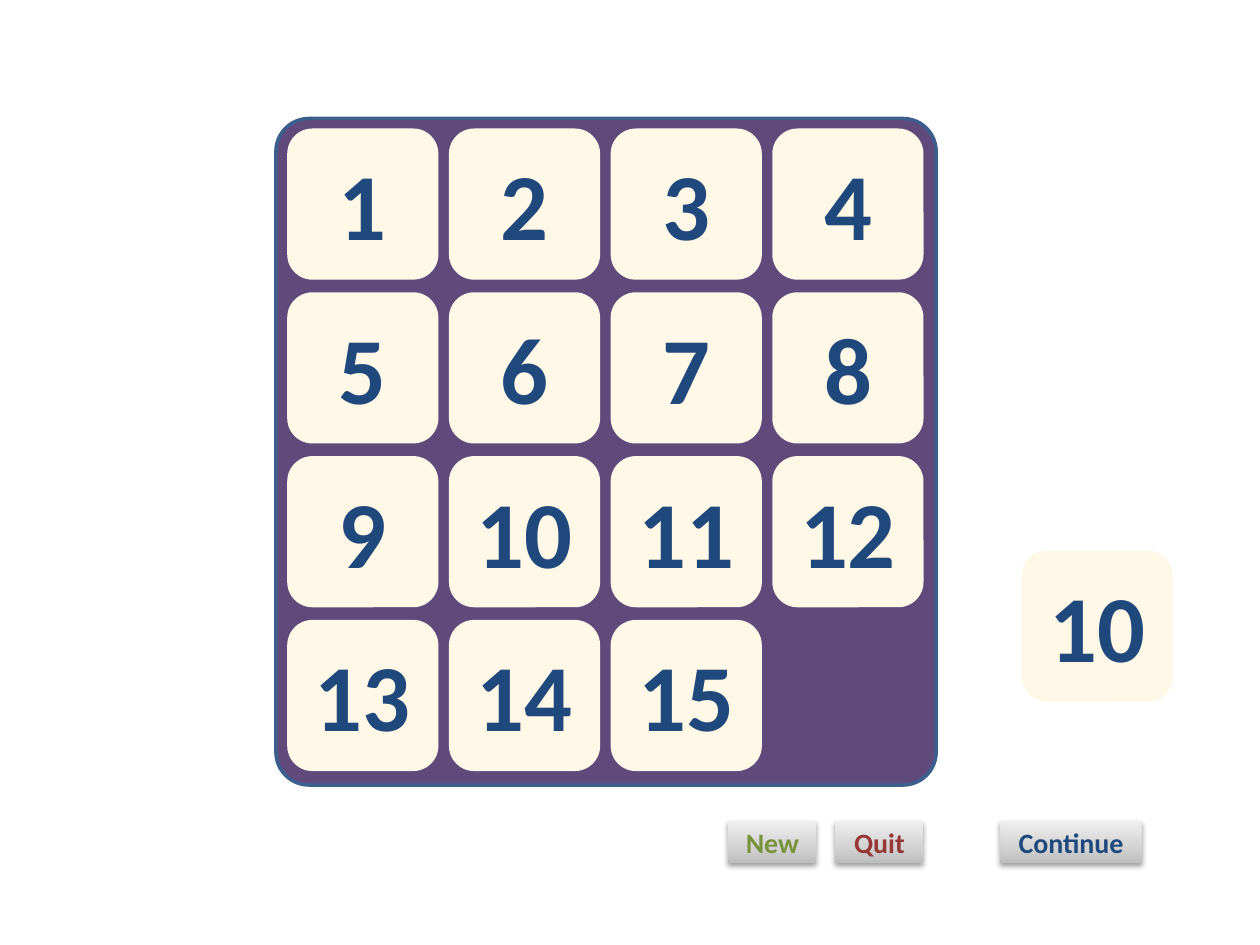
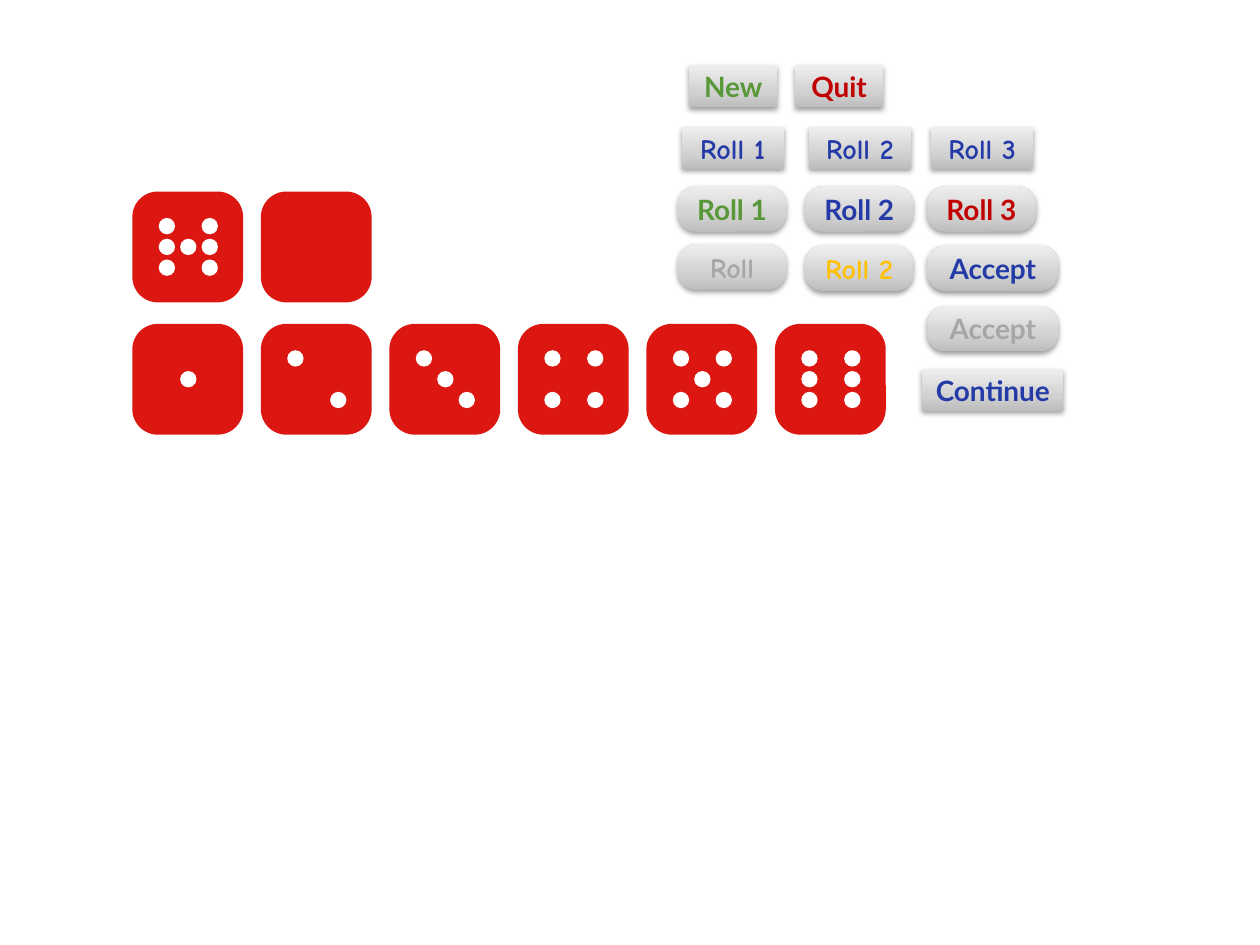
from dataclasses import dataclass

from lxml import etree
from pptx import Presentation
from pptx.dml.color import RGBColor
from pptx.enum.shapes import MSO_SHAPE as Preset
from pptx.enum.text import MSO_ANCHOR as Anchor
from pptx.enum.text import MSO_AUTO_SIZE as AutoSize
from pptx.enum.text import PP_ALIGN as Align
from pptx.oxml import parse_xml
from pptx.oxml.ns import nsdecls, qn
from pptx.util import Inches, Pt

BOARD, BOARD_EDGE = "604A7B", "3A5F8C"
CREAM, NAVY = "FFF8E7", "1F497D"
OLIVE, BRICK = "77933C", "953735"
DIE_RED, WHITE = "DC1712", "FFFFFF"
GREEN, BLUE, RED, AMBER, GRAY = "589838", "243AA6", "C00000", "FFC000", "A6A6A6"
BUTTON_STOPS = ((0, "BDBDBD"), (35, "D1D1D1"), (100, "EEEEEE"))

TILE_SIZE = 1.2
TILE_LEFT, TILE_TOP = 2.28, 1.02
TILE_COLUMN_PITCH, TILE_ROW_PITCH = 3.85 / 3, 1.3

DIE_SIZE, DIE_PITCH, DIE_LEFT = 0.88, 1.02, 1.05
PIP_SIZE, PIP_OFFSET = 0.13, 0.21
PIP_COLUMN_PITCH, PIP_ROW_PITCH = 0.17, 0.33 / 2

PILL_HEIGHT, PILL_CORNER = 0.36, 0.4


@dataclass
class Button:
    text: str
    left: float
    top: float
    width: float
    color: str
    font: str = "Lato"
    pill: bool = False


@dataclass
class Die:
    column: int
    top: float
    pips: str = ""


PUZZLE_BUTTONS = [
    Button("New", 5.78, 6.52, 0.7, OLIVE, "Calibri"),
    Button("Quit", 6.63, 6.52, 0.7, BRICK, "Calibri"),
    Button("Continue", 7.94, 6.52, 1.12, NAVY, "Calibri"),
]

DICE_BUTTONS = [
    Button("New", 5.47, 0.52, 0.7, GREEN),
    Button("Quit", 6.31, 0.52, 0.7, RED),
    Button("Roll 1", 5.41, 1.01, 0.81, BLUE, "Comic Neue"),
    Button("Roll 2", 6.42, 1.01, 0.81, BLUE, "Comic Neue"),
    Button("Roll 3", 7.39, 1.01, 0.81, BLUE, "Comic Neue"),
    Button("Roll 1", 5.38, 1.48, 0.86, GREEN, pill=True),
    Button("Roll 2", 6.39, 1.48, 0.86, BLUE, pill=True),
    Button("Roll 3", 7.36, 1.48, 0.86, RED, pill=True),
    Button("Roll", 5.38, 1.94, 0.86, GRAY, "Comic Neue", pill=True),
    Button("Roll 2", 6.39, 1.95, 0.86, AMBER, "Comic Neue", pill=True),
    Button("Accept", 7.36, 1.95, 1.04, BLUE, pill=True),
    Button("Accept", 7.36, 2.43, 1.04, GRAY, pill=True),
    Button("Continue", 7.32, 2.93, 1.12, BLUE),
]

# Each die face is three rows of three places, where "o" is a pip.
FACES = ["...|.o.|...", "o..|...|..o", "o..|.o.|..o",
         "o.o|...|o.o", "o.o|.o.|o.o", "o.o|o.o|o.o"]
DICE = [Die(0, 1.52, "o.o|ooo|o.o"), Die(1, 1.52)]
DICE += [Die(column, 2.57, face) for column, face in enumerate(FACES)]


def rgb(color: str) -> RGBColor:
    return RGBColor.from_string(color)


def add_flat_shape(shapes, preset, left: float, top: float,
                   width: float, height: float, color: str):
    """Add a solid shape without line or shadow."""
    shape = shapes.add_shape(preset, Inches(left), Inches(top),
                             Inches(width), Inches(height))
    shape.shadow.inherit = False
    shape.fill.solid()
    shape.fill.fore_color.rgb = rgb(color)
    shape.line.fill.background()
    return shape


def write_centered(shape, text: str, font: str, size: float, color: str) -> None:
    paragraph = shape.text_frame.paragraphs[0]
    paragraph.text = text
    paragraph.alignment = Align.CENTER
    run_font = paragraph.runs[0].font
    run_font.name, run_font.size, run_font.bold = font, Pt(size), True
    run_font.color.rgb = rgb(color)


def style_as_raised(shape) -> None:
    """Give the shape the gray gradient and the soft shadow of a button."""
    properties = shape._element.spPr
    stops = "".join(
        f'<a:gs pos="{position * 1000}"><a:srgbClr val="{color}"/></a:gs>'
        for position, color in BUTTON_STOPS)
    gradient = parse_xml(
        f'<a:gradFill {nsdecls("a")} rotWithShape="1"><a:gsLst>{stops}</a:gsLst>'
        '<a:lin ang="16200000" scaled="0"/></a:gradFill>')
    properties.replace(properties.find(qn("a:solidFill")), gradient)
    shadow = etree.SubElement(
        properties.find(qn("a:effectLst")), qn("a:outerShdw"),
        blurRad="40000", dist="20000", dir="5400000", rotWithShape="0")
    shadow_color = etree.SubElement(shadow, qn("a:srgbClr"), val="000000")
    etree.SubElement(shadow_color, qn("a:alpha"), val="38000")


def add_button(slide, button: Button) -> None:
    preset = Preset.ROUNDED_RECTANGLE if button.pill else Preset.RECTANGLE
    height = PILL_HEIGHT if button.pill else 0.33
    shape = add_flat_shape(slide.shapes, preset, button.left, button.top,
                           button.width, height, BUTTON_STOPS[0][1])
    if button.pill:
        shape.adjustments[0] = PILL_CORNER
    style_as_raised(shape)
    shape.text_frame.vertical_anchor = Anchor.MIDDLE
    write_centered(shape, button.text, button.font, 16, button.color)


def add_tile(slide, number: int, left: float, top: float) -> None:
    text = str(number)
    shapes = slide.shapes.add_group_shape().shapes
    add_flat_shape(shapes, Preset.ROUNDED_RECTANGLE, left, top,
                   TILE_SIZE, TILE_SIZE, CREAM)
    width = 0.21 + 0.38 * len(text)
    label = shapes.add_textbox(Inches(left + (TILE_SIZE - width) / 2),
                               Inches(top + 0.09), Inches(width), Inches(1.01))
    label.text_frame.word_wrap = False
    label.text_frame.auto_size = AutoSize.SHAPE_TO_FIT_TEXT
    write_centered(label, text, "Calibri", 54, NAVY)


def add_die(slide, die: Die) -> None:
    left = DIE_LEFT + die.column * DIE_PITCH
    shapes = slide.shapes.add_group_shape().shapes if die.pips else slide.shapes
    body = add_flat_shape(shapes, Preset.ROUNDED_RECTANGLE, left, die.top,
                          DIE_SIZE, DIE_SIZE, DIE_RED)
    body.adjustments[0] = 0.23
    for row, places in enumerate(die.pips.split("|")):
        for column, place in enumerate(places):
            if place == "o":
                add_flat_shape(shapes, Preset.OVAL,
                               left + PIP_OFFSET + column * PIP_COLUMN_PITCH,
                               die.top + PIP_OFFSET + row * PIP_ROW_PITCH,
                               PIP_SIZE, PIP_SIZE, WHITE)


def build_puzzle_slide(slide) -> None:
    board = add_flat_shape(slide.shapes, Preset.ROUNDED_RECTANGLE,
                           2.19, 0.94, 5.24, 5.29, BOARD)
    board.adjustments[0] = 0.05
    board.line.color.rgb = rgb(BOARD_EDGE)
    board.line.width = Pt(2)
    for index in range(15):
        row, column = divmod(index, 4)
        add_tile(slide, index + 1, TILE_LEFT + column * TILE_COLUMN_PITCH,
                 TILE_TOP + row * TILE_ROW_PITCH)
    add_tile(slide, 10, 8.11, 4.37)
    for button in PUZZLE_BUTTONS:
        add_button(slide, button)


def build_dice_slide(slide) -> None:
    for die in DICE:
        add_die(slide, die)
    for button in DICE_BUTTONS:
        add_button(slide, button)


def main() -> None:
    presentation = Presentation()
    presentation.slide_width, presentation.slide_height = Inches(10), Inches(7.5)
    blank_layout = presentation.slide_layouts[6]
    for build_slide in (build_puzzle_slide, build_dice_slide):
        build_slide(presentation.slides.add_slide(blank_layout))
    presentation.save("out.pptx")


if __name__ == "__main__":
    main()
